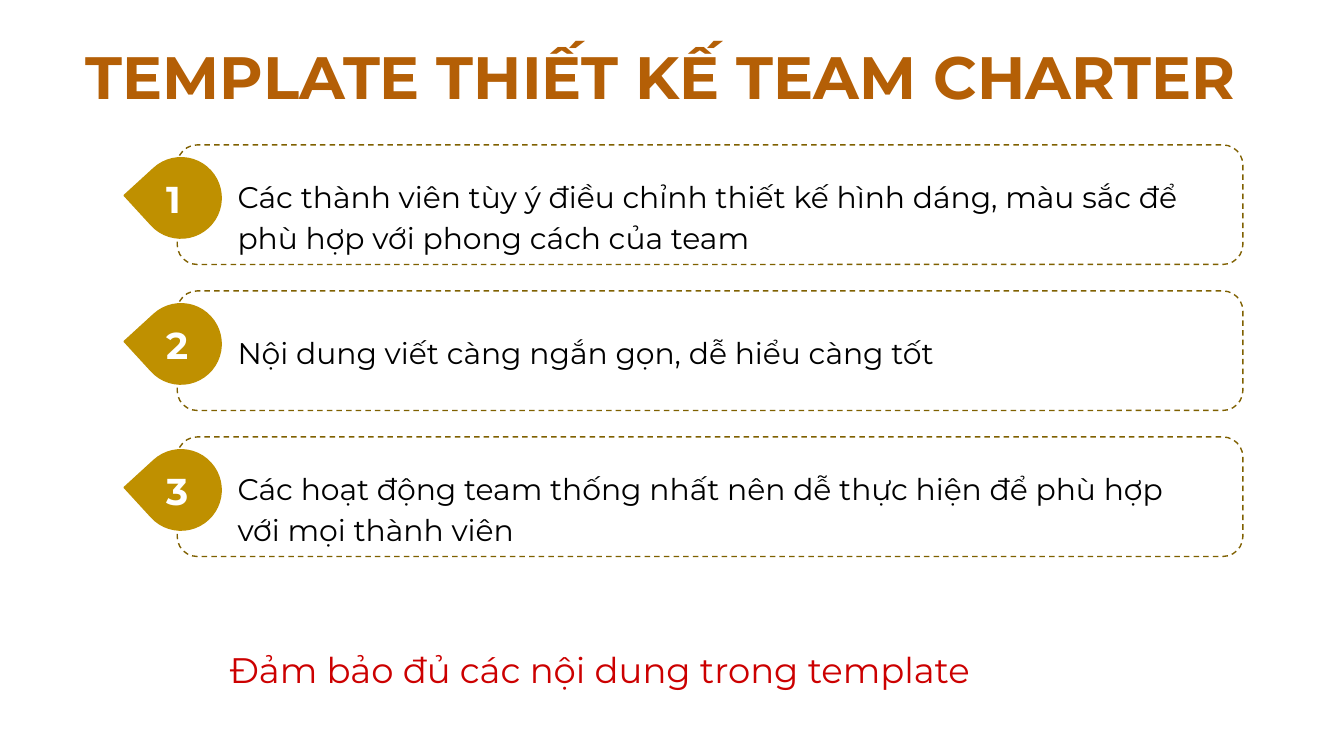
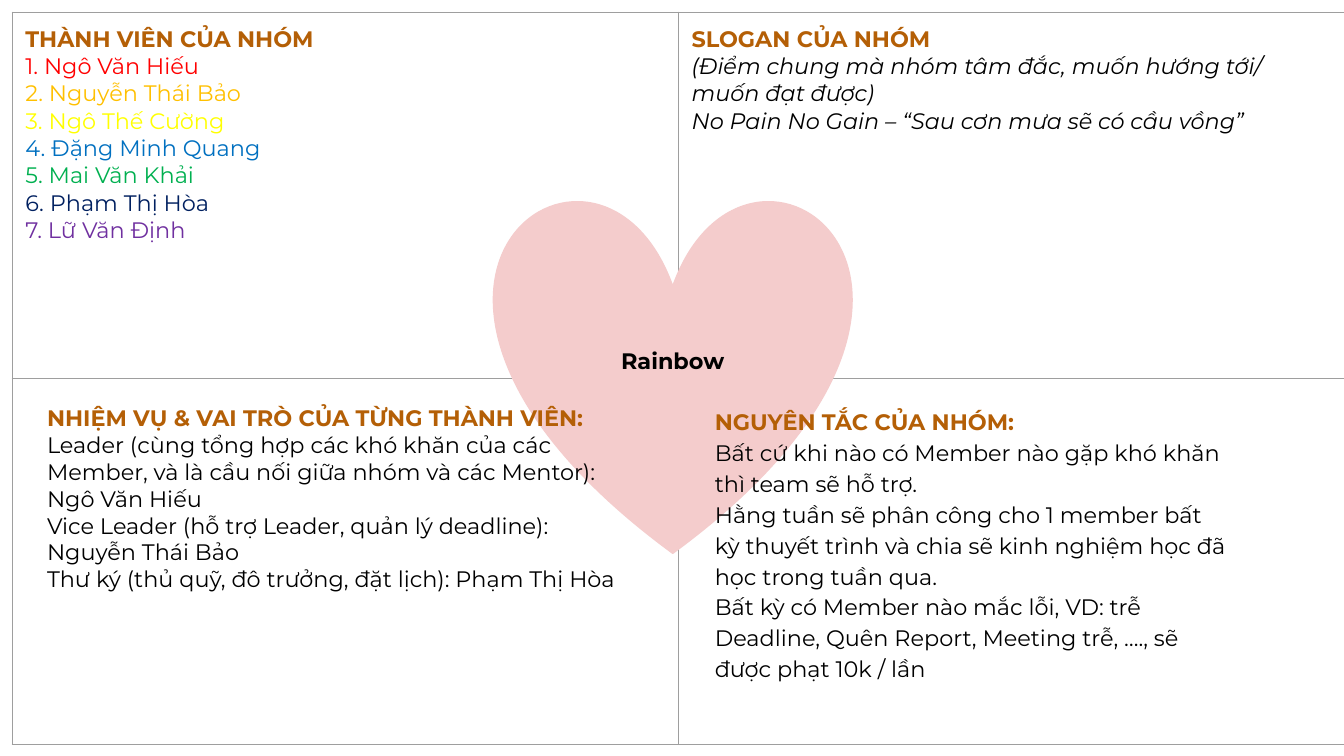
from lxml import etree
from pptx import Presentation
from pptx.dml.color import RGBColor
from pptx.enum.dml import MSO_LINE
from pptx.enum.shapes import MSO_SHAPE
from pptx.enum.text import MSO_ANCHOR, PP_ALIGN
from pptx.oxml.ns import qn
from pptx.util import Cm, Pt

ROUND_RECT, TEARDROP, HEART = MSO_SHAPE.ROUNDED_RECTANGLE, MSO_SHAPE.TEAR, MSO_SHAPE.HEART
TOP, MIDDLE = MSO_ANCHOR.TOP, MSO_ANCHOR.MIDDLE
LEFT, CENTER = PP_ALIGN.LEFT, PP_ALIGN.CENTER
DASH = MSO_LINE.DASH

FONT = "Montserrat"
BROWN = RGBColor(0xB4, 0x5F, 0x06)
OLIVE = RGBColor(0x7F, 0x60, 0x00)
GOLD = RGBColor(0xBF, 0x90, 0x00)
PINK = RGBColor(0xF4, 0xCC, 0xCC)
GREY = RGBColor(0x9E, 0x9E, 0x9E)
BLACK = RGBColor(0x00, 0x00, 0x00)
WHITE = RGBColor(0xFF, 0xFF, 0xFF)
DARK_RED = RGBColor(0xCC, 0x00, 0x00)
RED = RGBColor(0xFF, 0x00, 0x00)
ORANGE = RGBColor(0xFF, 0xC0, 0x00)
YELLOW = RGBColor(0xFF, 0xFF, 0x00)
BLUE = RGBColor(0x00, 0x70, 0xC0)
GREEN = RGBColor(0x00, 0xB0, 0x50)
NAVY = RGBColor(0x00, 0x20, 0x60)
PURPLE = RGBColor(0x70, 0x30, 0xA0)

PAD = Cm(0.25)
LINE_WIDTH = Pt(0.75)

# Slide 1 content: text and its offset below the top of the box
GUIDELINES = [
    ("Các thành viên tùy ý điều chỉnh thiết kế hình dáng, màu sắc để "
     "phù hợp với phong cách của team", Cm(0.28)),
    ("Nội dung viết càng ngắn gọn, dễ hiểu càng tốt", Cm(0.48)),
    ("Các hoạt động team thống nhất nên dễ thực hiện để phù hợp "
     "với mọi thành viên", Cm(0.28)),
]

# Slide 2 content
MEMBERS = [
    ("Ngô Văn Hiếu", RED), ("Nguyễn Thái Bảo", ORANGE), ("Ngô Thế Cường", YELLOW),
    ("Đặng Minh Quang", BLUE), ("Mai Văn Khải", GREEN), ("Phạm Thị Hòa", NAVY),
    ("Lữ Văn Định", PURPLE),
]
SLOGAN = [
    "(Điểm chung mà nhóm tâm đắc, muốn hướng tới/ muốn đạt được)",
    "No Pain No Gain – “Sau cơn mưa sẽ có cầu vồng”",
]
RULES = [
    "Bất cứ khi nào có Member nào gặp khó khăn thì team sẽ hỗ trợ.\n"
    "Hằng tuần sẽ phân công cho 1 member bất kỳ thuyết trình và chia sẽ "
    "kinh nghiệm học đã học trong tuần qua.",
    "Bất kỳ có Member nào mắc lỗi, VD: trễ Deadline, Quên Report, "
    "Meeting trễ, …., sẽ được phạt 10k / lần",
]
ROLES = [
    "Leader (cùng tổng hợp các khó khăn của các Member, và là cầu nối "
    "giữa nhóm và các Mentor): Ngô Văn Hiếu",
    "Vice Leader (hỗ trợ Leader, quản lý deadline): Nguyễn Thái Bảo",
    "Thư ký (thủ quỹ, đô trưởng, đặt lịch): Phạm Thị Hòa",
]


# Shared text and shape helpers
def set_frame(tf, anchor=TOP):
    tf.word_wrap = True
    tf.vertical_anchor = anchor
    tf.margin_left = tf.margin_right = tf.margin_top = tf.margin_bottom = PAD


def add_line(tf, text, size, color, bold=False, italic=False, spacing=1.0, align=LEFT):
    """Fill the first paragraph while it is empty, else append one."""
    p = tf.paragraphs[-1]
    if p.runs:
        p = tf.add_paragraph()
    p.alignment = align
    p.line_spacing = spacing
    for i, part in enumerate(text.split("\n")):
        if i:
            p.add_line_break()
        r = p.add_run()
        r.text = part
        r.font.name, r.font.size, r.font.color.rgb = FONT, Pt(size), color
        r.font.bold, r.font.italic = bold, italic
    return p


def add_section(tf, heading, lines, italic=False, spacing=1.0):
    """Write a brown heading and its (text, colour) lines."""
    add_line(tf, heading, 12, BROWN, bold=True, spacing=spacing)
    for text, color in lines:
        add_line(tf, text, 12, color, italic=italic, spacing=spacing)


def in_black(texts):
    return [(text, BLACK) for text in texts]


def add_textbox(s, x, y, w, h):
    tf = s.shapes.add_textbox(x, y, w, h).text_frame
    set_frame(tf)
    return tf


def add_preset(s, kind, x, y, w, h, line, fill=None):
    sp = s.shapes.add_shape(kind, x, y, w, h)
    sp.shadow.inherit = False
    sp.line.color.rgb, sp.line.width = line, LINE_WIDTH
    if fill is None:
        sp.fill.background()
    else:
        sp.fill.solid()
        sp.fill.fore_color.rgb = fill
    return sp


def set_borders(cell):
    tc_pr = cell._tc.get_or_add_tcPr()
    for side in ("lnL", "lnR", "lnT", "lnB"):
        ln = etree.SubElement(tc_pr, qn(f"a:{side}"), w=str(LINE_WIDTH))
        fill = etree.SubElement(ln, qn("a:solidFill"))
        etree.SubElement(fill, qn("a:srgbClr"), val=str(GREY))


# Slide 1: guidelines
def place_title(s, text, x, y, w, h):
    sp = s.shapes.title
    sp.left, sp.top, sp.width, sp.height = x, y, w, h
    set_frame(sp.text_frame)
    add_line(sp.text_frame, text, 32, BROWN, bold=True)


def add_guideline(s, number, text, text_top, x, y, w, h):
    box = add_preset(s, ROUND_RECT, x, y, w, h, OLIVE)
    box.adjustments[0] = 0.167
    box.line.dash_style = DASH

    drop = add_preset(s, TEARDROP, x - Cm(0.69), y + Cm(0.24), Cm(1.52), Cm(1.52), GOLD, GOLD)
    drop.rotation = 227.5
    tf = add_textbox(s, x - Cm(0.46), y + Cm(0.34), Cm(0.86), Cm(1.37))
    add_line(tf, str(number), 20, WHITE, bold=True)

    tf = add_textbox(s, x + Cm(0.89), y + text_top, w - Cm(1.27), h - text_top)
    add_line(tf, text, 16, BLACK, spacing=1.15)


def build_guidelines(prs):
    s = prs.slides.add_slide(prs.slide_layouts[5])
    place_title(s, "TEMPLATE THIẾT KẾ TEAM CHARTER", Cm(1.37), Cm(0.51), Cm(23.83), Cm(1.88))
    for i, (text, text_top) in enumerate(GUIDELINES):
        add_guideline(s, i + 1, text, text_top,
                      Cm(3.35), Cm(2.74) + i * Cm(2.76), Cm(20.14), Cm(2.26))
    tf = add_textbox(s, Cm(2.82), Cm(11.89), Cm(20.14), Cm(1.32))
    p = add_line(tf, "Đảm bảo đủ các nội dung trong template", 19, DARK_RED, spacing=1.15)
    p._p.get_or_add_pPr().set("marL", str(Cm(1.27)))


# Slide 2: team charter
def add_quadrants(s, x, y, w, h):
    table = s.shapes.add_table(2, 2, x, y, w, h).table
    table.first_row = table.horz_banding = False
    for cell in table.iter_cells():
        set_borders(cell)
        cell.fill.background()
        cell.margin_left = cell.margin_right = cell.margin_top = cell.margin_bottom = PAD
    members = [(f"{i}. {name}", color) for i, (name, color) in enumerate(MEMBERS, 1)]
    add_section(table.cell(0, 0).text_frame, "THÀNH VIÊN CỦA NHÓM", members)
    add_section(table.cell(0, 1).text_frame, "SLOGAN CỦA NHÓM", in_black(SLOGAN), italic=True)


def add_team_heart(s, name, x, y, size):
    heart = add_preset(s, HEART, x, y, size, size, PINK, PINK)
    set_frame(heart.text_frame, MIDDLE)
    add_line(heart.text_frame, name, 12, BLACK, bold=True, align=CENTER)


def build_charter(prs):
    s = prs.slides.add_slide(prs.slide_layouts[6])
    add_quadrants(s, Cm(0.23), Cm(0.23), Cm(25.18), Cm(13.84))
    add_team_heart(s, "Rainbow", Cm(9.35), Cm(3.73), Cm(6.73))
    tf = add_textbox(s, Cm(13.26), Cm(7.39), Cm(10.24), Cm(5.82))
    add_section(tf, "NGUYÊN TẮC CỦA NHÓM:", in_black(RULES), spacing=1.15)
    tf = add_textbox(s, Cm(0.64), Cm(7.39), Cm(11.35), Cm(6.68))
    add_section(tf, "NHIỆM VỤ & VAI TRÒ CỦA TỪNG THÀNH VIÊN:", in_black(ROLES))


def main():
    prs = Presentation()
    prs.slide_width, prs.slide_height = Cm(25.4), Cm(14.29)
    build_guidelines(prs)
    build_charter(prs)
    prs.save("out.pptx")


if __name__ == "__main__":
    main()
